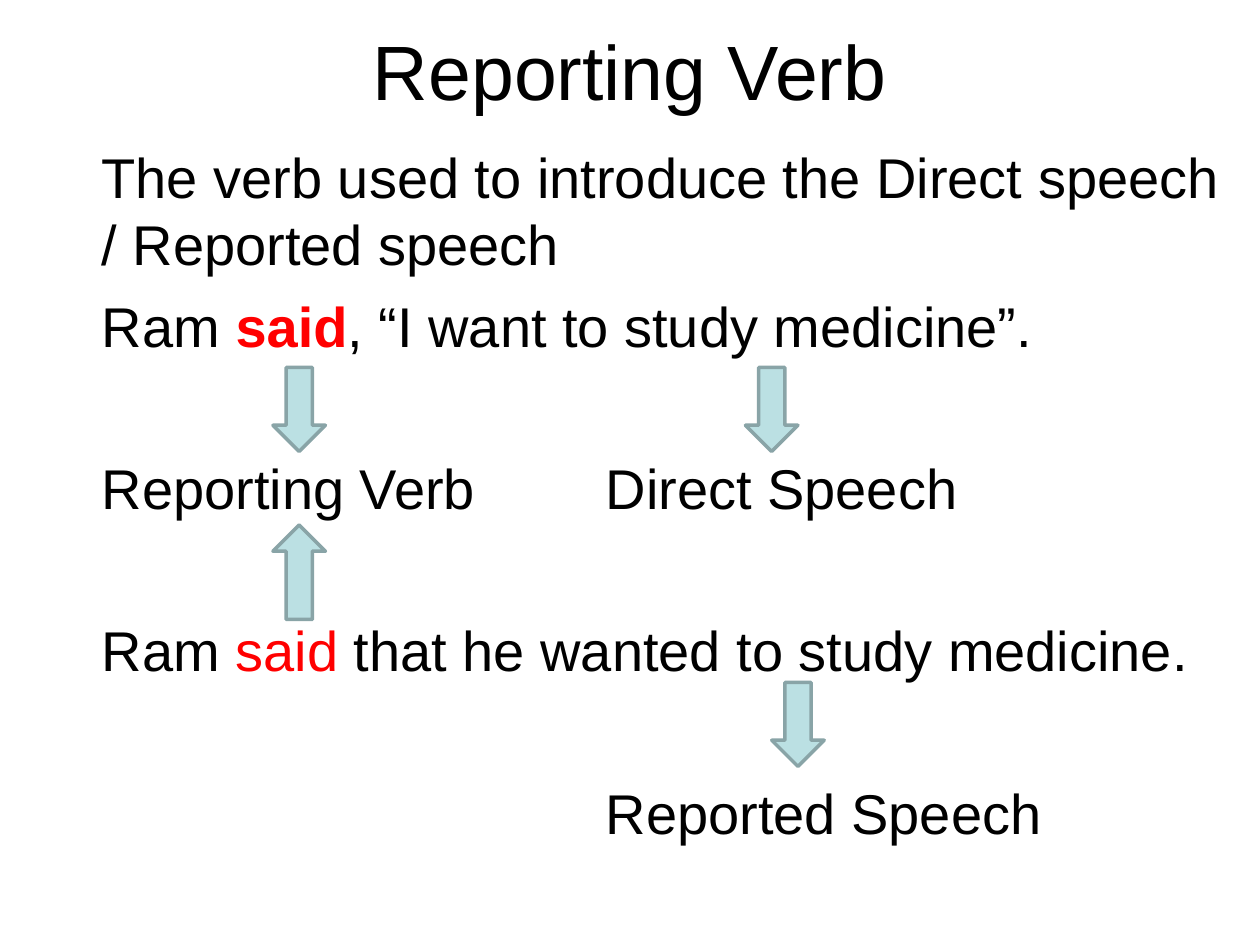
import pptx
import pptx.util
import pptx.dml.color
import pptx.enum.shapes
import pptx.enum.text
import lxml.etree

Pt = pptx.util.Pt
Inches = pptx.util.Inches
SHAPE = pptx.enum.shapes.MSO_SHAPE
ALIGN = pptx.enum.text.PP_ALIGN
ANCHOR = pptx.enum.text.MSO_ANCHOR
COLUMNS, ROWS = 48, 36


def color(value):
    return pptx.dml.color.RGBColor.from_string(value)


class Deck:
    font, ink, accent = "Arial", "000000", "FF0000"
    arrow_fill, arrow_line = "BBE0E3", "89A4A7"
    body_size, line_pitch, gap, tab = 32, 38.4, 8, 4

    def __init__(self):
        self.prs = pptx.Presentation()
        self.prs.slide_width, self.prs.slide_height = Inches(10), Inches(7.5)
        self.s = self.prs.slides.add_slide(self.prs.slide_layouts[6])

    def grid(self, col, row, cols, rows):
        w, h = self.prs.slide_width, self.prs.slide_height
        return [int(v) for v in (w * col / COLUMNS, h * row / ROWS,
                                 w * cols / COLUMNS, h * rows / ROWS)]

    def box(self, *cells):
        tf = self.s.shapes.add_textbox(*self.grid(*cells)).text_frame
        tf.word_wrap = True
        return tf

    def style(self, r, size, ink=None, bold=False):
        r.font.name, r.font.size, r.font.bold = self.font, Pt(size), bold
        r.font.color.rgb = color(ink or self.ink)

    def title(self, text, *cells):
        tf = self.box(*cells)
        tf.vertical_anchor = ANCHOR.MIDDLE
        tf.text = text
        p = tf.paragraphs[0]
        p.alignment = ALIGN.CENTER
        self.style(p.runs[0], 44)

    def body(self, lines, *cells):
        tf = self.box(*cells)
        for i, (runs, blank_above, indented) in enumerate(lines):
            p = tf.add_paragraph() if i else tf.paragraphs[0]
            p.line_spacing = Pt(self.line_pitch)
            skipped = self.line_pitch + self.gap if blank_above else 0
            p.space_before = Pt(self.gap + skipped)
            self.add_tab(p, indented)
            for text, ink, bold in runs:
                r = p.add_run()
                r.text = text
                self.style(r, self.body_size, ink, bold)

    def add_tab(self, p, indented):
        pPr = p._p.get_or_add_pPr()
        stop = str(Inches(self.tab))
        pPr.set("marL", stop if indented else "0")
        ns = "{http://schemas.openxmlformats.org/drawingml/2006/main}"
        tabs = lxml.etree.SubElement(pPr, ns + "tabLst")
        lxml.etree.SubElement(tabs, ns + "tab", pos=stop, algn="l")

    def arrow(self, kind, *cells):
        sp = self.s.shapes.add_shape(kind, *self.grid(*cells))
        sp.shadow.inherit = False
        sp.fill.solid()
        sp.fill.fore_color.rgb = color(self.arrow_fill)
        sp.line.color.rgb = color(self.arrow_line)
        sp.line.width = Pt(2)


def plain(text):
    return text, None, False


deck = Deck()
deck.title("Reporting Verb", 2.4, 0.8, 43.2, 3.75)
deck.body([
    ([plain("The verb used to introduce the Direct speech / Reported speech")],
     False, False),
    ([plain("Ram "), ("said", deck.accent, True),
      plain(", “I want to study medicine”.")], False, False),
    ([plain("Reporting Verb\tDirect Speech")], True, False),
    ([plain("Ram "), ("said", deck.accent, False),
      plain(" that he wanted to study medicine.")], True, False),
    ([plain("Reported Speech")], True, True),
], 3.4, 5.2, 43.8, 27)

for kind, col, row, rows in [
    (SHAPE.DOWN_ARROW, 10.4, 14, 3.2),
    (SHAPE.DOWN_ARROW, 28.4, 14, 3.2),
    (SHAPE.DOWN_ARROW, 29.4, 26, 3.2),
    (SHAPE.UP_ARROW, 10.4, 20, 3.6),
]:
    deck.arrow(kind, col, row, 2, rows)

deck.prs.save("out.pptx")
